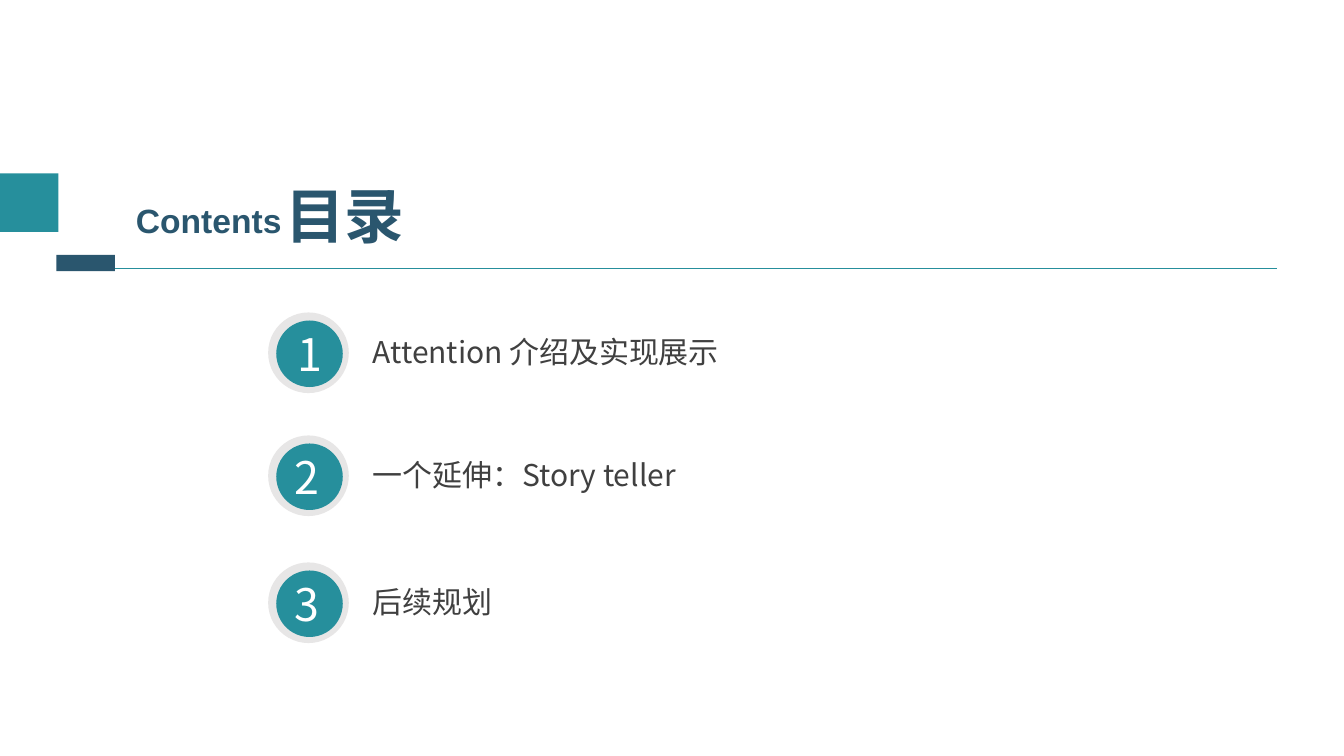
"""Build a contents slide with three numbered topics."""
from lxml import etree
from pptx import Presentation
from pptx.dml.color import RGBColor
from pptx.enum.shapes import MSO_CONNECTOR, MSO_SHAPE
from pptx.oxml.ns import qn
from pptx.util import Inches, Pt

RECTANGLE = MSO_SHAPE.RECTANGLE
OVAL = MSO_SHAPE.OVAL
STRAIGHT = MSO_CONNECTOR.STRAIGHT

COLORS = {
    "teal": "268F9C",
    "navy": "2A566E",
    "ring": "E7E6E6",
    "text": "404040",
    "white": "FFFFFF",
}
CJK_FONT = "Noto Sans CJK SC"


def add_text(page, text, *, left, top, width, height, size, color, font=CJK_FONT, bold=False):
    box = page.shapes.add_textbox(Inches(left), Inches(top), Inches(width), Inches(height))
    box.text_frame.word_wrap = True
    span = box.text_frame.paragraphs[0].add_run()
    span.text = text
    span.font.size = Pt(size)
    span.font.bold = bold
    span.font.color.rgb = RGBColor.from_string(COLORS[color])
    span.font.name = font
    east_asian = etree.SubElement(span.font._element, qn("a:ea"))
    east_asian.set("typeface", font)


def add_block(page, kind, *, left, top, width, height, color):
    block = page.shapes.add_shape(kind, Inches(left), Inches(top), Inches(width), Inches(height))
    block.shadow.inherit = False
    block.fill.solid()
    block.fill.fore_color.rgb = RGBColor.from_string(COLORS[color])
    block.line.fill.background()


deck = Presentation()
deck.slide_width = Inches(13.33)
deck.slide_height = Inches(7.5)
page = deck.slides.add_slide(deck.slide_layouts[6])

rule = page.shapes.add_connector(STRAIGHT, Inches(0.59), Inches(2.66), Inches(12.67), Inches(2.66))
rule.line.color.rgb = RGBColor.from_string(COLORS["teal"])
rule.line.width = Pt(0.75)
etree.SubElement(rule._element.spPr, qn("a:effectLst"))

add_text(page, "目录", left=2.73, top=1.73, width=1.71, height=0.82,
         size=42.6, color="navy", bold=True)
add_text(page, "Contents", left=1.25, top=1.93, width=2.06, height=0.5,
         size=24, color="navy", font="Arial", bold=True)
add_block(page, RECTANGLE, left=0, top=1.72, width=0.58, height=0.58, color="teal")
add_block(page, RECTANGLE, left=0.56, top=2.53, width=0.58, height=0.16, color="navy")

topics = [
    ("1", "Attention 介绍及实现展示", 3.1, 2.85, 3.86),
    ("2", "一个延伸：Story teller", 4.32, 2.82, 3.47),
    ("3", "后续规划", 5.58, 2.82, 2.01),
]
for number, topic, top, number_left, topic_width in topics:
    add_block(page, OVAL, left=2.66, top=top, width=0.8, height=0.8, color="ring")
    add_block(page, OVAL, left=2.74, top=top + 0.08, width=0.66, height=0.66, color="teal")
    add_text(page, number, left=number_left, top=top + 0.09, width=0.48, height=0.64,
             size=32, color="white")
    add_text(page, topic, left=3.6, top=top + 0.16, width=topic_width, height=0.46,
             size=21.4, color="text")

deck.save("out.pptx")
